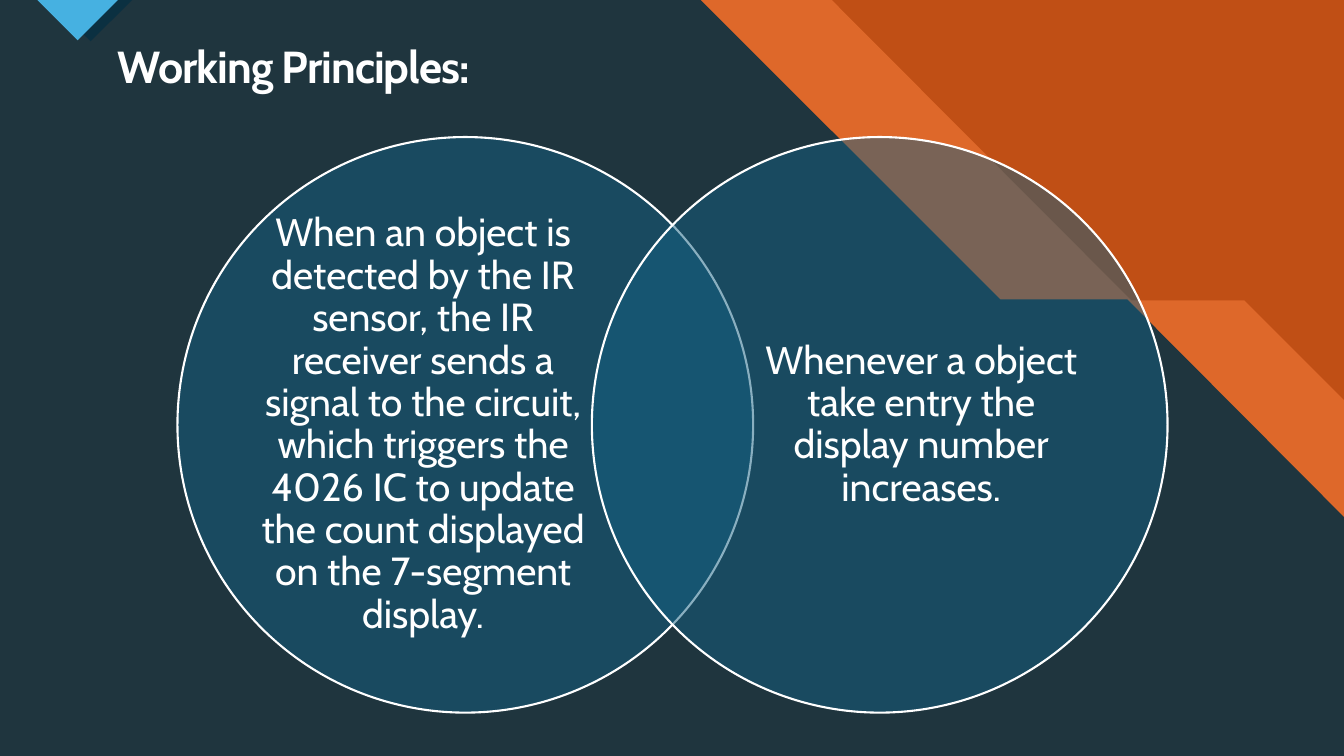
from lxml.etree import SubElement
from pptx import Presentation
from pptx.dml.color import RGBColor
from pptx.enum.shapes import MSO_SHAPE as Shape
from pptx.enum.text import MSO_ANCHOR as Anchor, PP_ALIGN as Align
from pptx.oxml.ns import qn
from pptx.util import Inches, Pt

WIDE, HIGH = 13.33, 7.5
NAVY, BLUE, TEAL = "0B3041", "46B1E1", "156082"
ORANGE, RUST, WHITE = "E97132", "C04F15", "FFFFFF"

CIRCLE = 5.71
FIRST, STEP, TOP = 1.76, 4.11, 1.36
TEXT_W, TEXT_H = 3.29, 4.36

BANDS = [
    ([(0, 0), (8.25, 0), (11.22, 2.98), (12.34, 2.98), (WIDE, 3.97),
      (WIDE, HIGH), (0, HIGH)], ORANGE, 74),
    ([(0, 0), (6.95, 0), (9.92, 2.97), (11.18, 2.97), (WIDE, 5.13),
      (WIDE, HIGH), (0, HIGH)], NAVY, 90),
    ([(0.48, 0), (1.31, 0), (0.9, 0.41)], NAVY, 100),
    ([(0.37, 0), (1.17, 0), (0.77, 0.4)], BLUE, 100),
]

# Left edge of each text, then its words
STEPS = [
    (2.55, "When an object is detected by the IR sensor, the IR receiver "
           "sends a signal to the circuit, which triggers the 4026 IC to "
           "update the count displayed on the 7-segment display."),
    (7.49, "Whenever a object take entry the display number increases."),
]


def paint(fill, color, alpha=100):
    """Fill with a solid colour; alpha is the opacity in percent."""
    fill.solid()
    fill.fore_color.rgb = RGBColor.from_string(color)
    if alpha < 100:
        tint = fill._xPr.find(qn("a:solidFill"))[0]
        SubElement(tint, qn("a:alpha"), val=str(alpha * 1000))


def style(shape, color, alpha=100, line=None):
    shape.shadow.inherit = False
    paint(shape.fill, color, alpha)
    if line:
        paint(shape.line.fill, line)
        shape.line.width = Pt(1.5)
    else:
        shape.line.fill.background()


def preset(slide, kind, x, y, w, h, color, **look):
    shape = slide.shapes.add_shape(
        kind, Inches(x), Inches(y), Inches(w), Inches(h))
    style(shape, color, **look)


def outline(slide, points, color, alpha):
    start, *rest = [(Inches(x), Inches(y)) for x, y in points]
    build = slide.shapes.build_freeform(*start)
    build.add_line_segments(rest)
    style(build.convert_to_shape(), color, alpha)


def write(slide, text, x, y, w, h, size=28, bold=False, align=Align.LEFT,
          anchor=Anchor.TOP, inset=None, track=None):
    """Add a text box; track is letter spacing in hundredths of a point."""
    box = slide.shapes.add_textbox(Inches(x), Inches(y), Inches(w), Inches(h))
    frame = box.text_frame
    frame.word_wrap = True
    frame.vertical_anchor = anchor
    if inset is not None:
        frame.margin_left = frame.margin_right = Inches(inset)
        frame.margin_top = frame.margin_bottom = Inches(inset)
    para = frame.paragraphs[0]
    para.alignment = align
    para.line_spacing = 0.9
    run = para.add_run()
    run.text = text
    font = run.font
    font.name, font.size, font.bold = "Cabin", Pt(size), bold
    paint(font.fill, WHITE)
    if track:
        run._r.get_or_add_rPr().set("spc", str(track))


def main():
    deck = Presentation()
    deck.slide_width, deck.slide_height = Inches(WIDE), Inches(HIGH)
    slide = deck.slides.add_slide(deck.slide_layouts[6])
    paint(slide.background.fill, ORANGE)

    preset(slide, Shape.RECTANGLE, 0, 0, WIDE, HIGH, RUST)
    for points, color, alpha in BANDS:
        outline(slide, points, color, alpha)

    write(slide, "Working Principles:", 1.07, 0.39, 12.26, 0.59,
          size=32, bold=True, track=-70)
    mid = TOP + (CIRCLE - TEXT_H) / 2
    for i, (left, text) in enumerate(STEPS):
        preset(slide, Shape.OVAL, FIRST + i * STEP, TOP, CIRCLE, CIRCLE,
               TEAL, alpha=50, line=WHITE)
        write(slide, text, left, mid, TEXT_W, TEXT_H,
              align=Align.CENTER, anchor=Anchor.MIDDLE, inset=0)

    deck.save("out.pptx")


if __name__ == "__main__":
    main()
